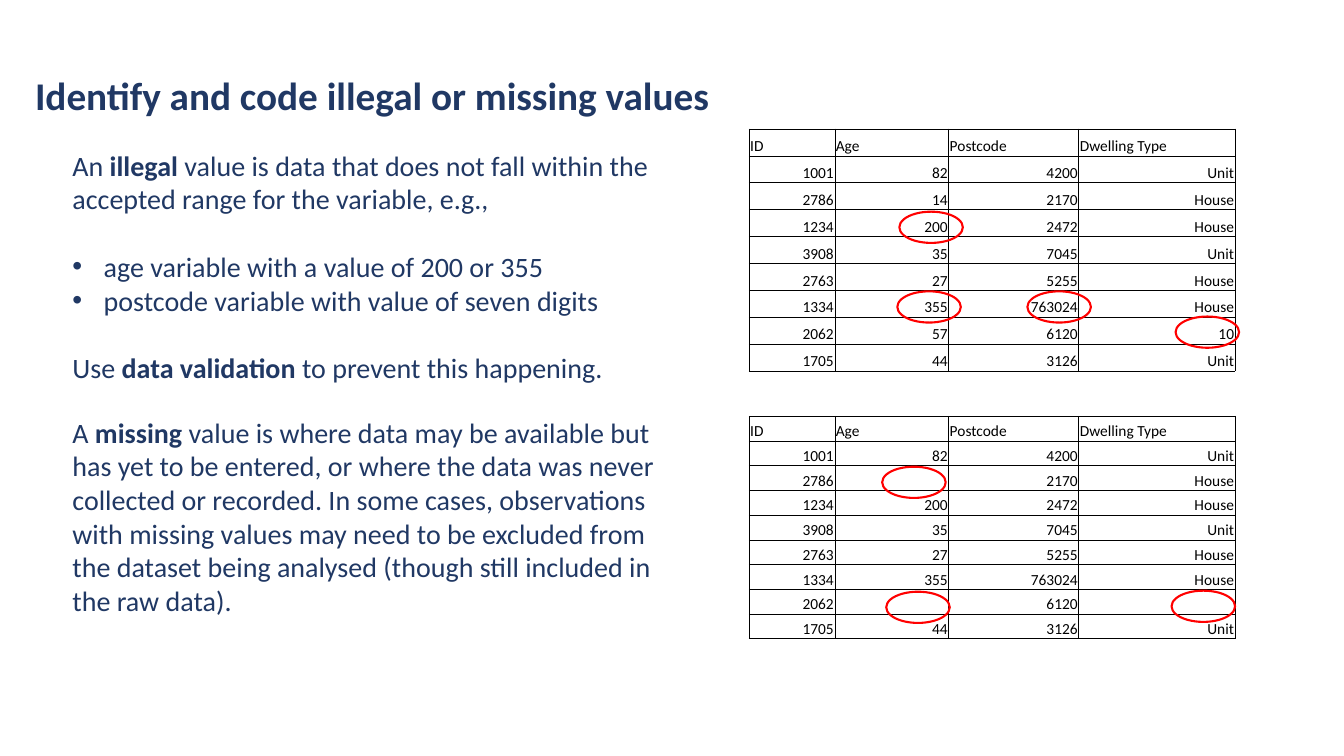
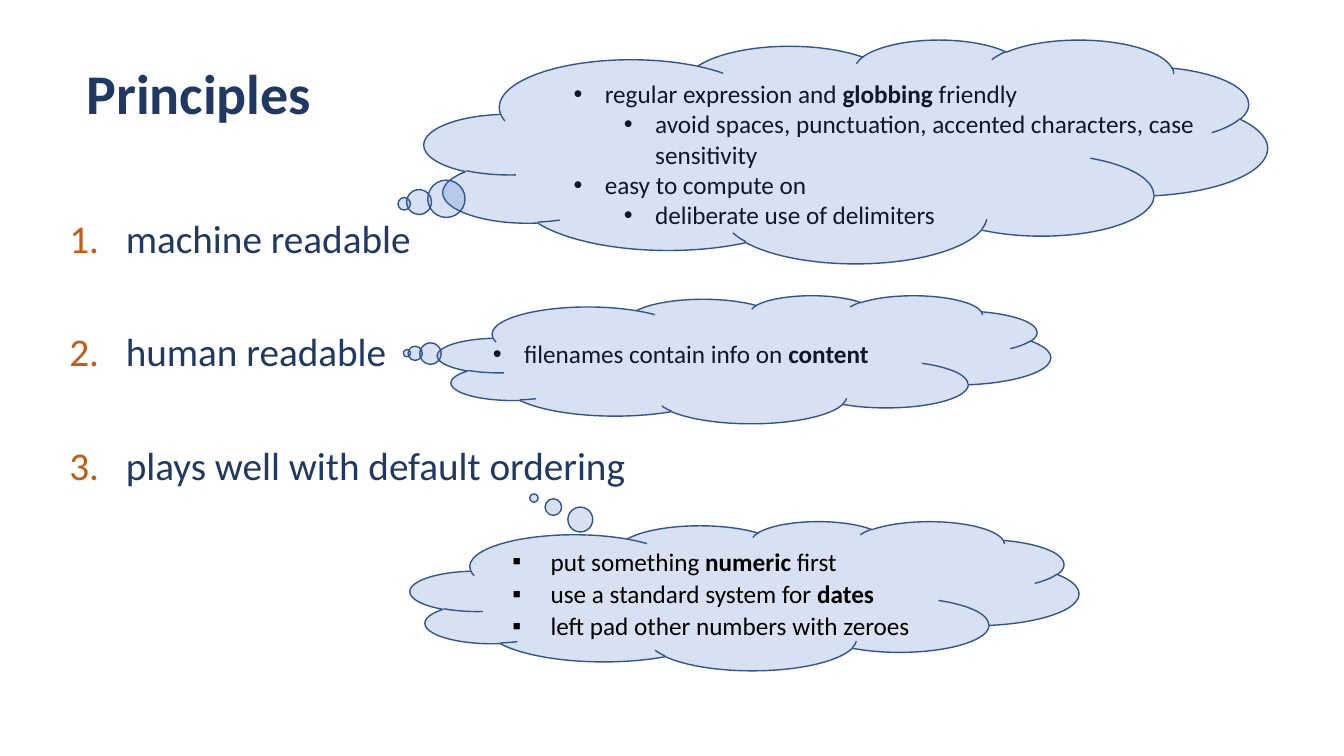
from dataclasses import dataclass

from lxml import etree
from pptx import Presentation
from pptx.dml.color import RGBColor
from pptx.enum.shapes import MSO_SHAPE
from pptx.enum.text import MSO_ANCHOR, PP_ALIGN
from pptx.oxml.ns import qn
from pptx.util import Inches, Pt

CLOUD = MSO_SHAPE.CLOUD_CALLOUT
ELLIPSE = MSO_SHAPE.OVAL
TOP, MIDDLE, BOTTOM = MSO_ANCHOR.TOP, MSO_ANCHOR.MIDDLE, MSO_ANCHOR.BOTTOM
LEFT, RIGHT = PP_ALIGN.LEFT, PP_ALIGN.RIGHT

FONT = "Calibri"
BLANK_LAYOUT = 6
COLORS = {
    "navy": "203864",
    "black": "000000",
    "orange": "C55A11",
    "red": "FF0000",
    "cloud": "4472C4",
    "outline": "325491",
}
CLOUD_OPACITY = 21
COLUMN_WIDTHS = [0.85, 1.13, 1.29, 1.55]
MARK_SIZE = (0.63, 0.31)

HEADER = ["ID", "Age", "Postcode", "Dwelling Type"]
RECORDS = [
    ["1001", "82", "4200", "Unit"],
    ["2786", "14", "2170", "House"],
    ["1234", "200", "2472", "House"],
    ["3908", "35", "7045", "Unit"],
    ["2763", "27", "5255", "House"],
    ["1334", "355", "763024", "House"],
    ["2062", "57", "6120", "10"],
    ["1705", "44", "3126", "Unit"],
]
MISSING = {(1, 1), (6, 1), (6, 3)}


@dataclass
class Line:
    runs: tuple
    bullet: str = ""
    indent: float = 0.31
    level: int = 0
    before: float = 0


def color(name):
    return RGBColor.from_string(COLORS[name])


class Deck:
    def __init__(self):
        self.deck = Presentation()
        self.deck.slide_width = Inches(13.33)
        self.deck.slide_height = Inches(7.5)
        self.page = None

    def add_page(self):
        self.page = self.deck.slides.add_slide(self.deck.slide_layouts[BLANK_LAYOUT])

    def add_run(self, para, text, size, tint, bold=False):
        span = para.add_run()
        span.text = text
        span.font.name = FONT
        span.font.size = Pt(size)
        span.font.bold = bold
        span.font.color.rgb = color(tint)

    def add_bullet(self, para, line):
        props = para._p.get_or_add_pPr()
        props.set("marL", str(Inches(line.indent + 0.5 * line.level)))
        props.set("indent", str(-Inches(line.indent)))
        if line.bullet == "1.":
            tint = etree.SubElement(props, qn("a:buClr"))
            etree.SubElement(tint, qn("a:srgbClr"), val=COLORS["orange"])
            etree.SubElement(props, qn("a:buFont"), typeface=FONT)
            etree.SubElement(props, qn("a:buAutoNum"), type="arabicPeriod")
        else:
            etree.SubElement(props, qn("a:buFont"), typeface="Arial")
            etree.SubElement(props, qn("a:buChar"), char=line.bullet)

    def fill_frame(self, frame, lines, size, tint, spacing=1.0, anchor=TOP):
        frame.word_wrap = True
        frame.vertical_anchor = anchor
        for index, line in enumerate(lines):
            para = frame.add_paragraph() if index else frame.paragraphs[0]
            para.level = line.level
            if line.bullet:
                self.add_bullet(para, line)
            para.alignment = LEFT
            para.line_spacing = spacing
            para.space_before = Pt(line.before)
            for position, text in enumerate(line.runs):
                self.add_run(para, text, size, tint, bold=position % 2 == 1)

    def add_text(self, place, lines, size, tint, spacing=1.0):
        box = self.page.shapes.add_textbox(*map(Inches, place))
        self.fill_frame(box.text_frame, lines, size, tint, spacing)

    def add_title(self, place, text, size, anchor=TOP):
        box = self.page.shapes.add_textbox(*map(Inches, place))
        frame = box.text_frame
        frame.word_wrap = True
        frame.vertical_anchor = anchor
        para = frame.paragraphs[0]
        para.line_spacing = 0.9
        self.add_run(para, text, size, "navy", bold=True)

    def add_outline(self, kind, place, tint, width):
        shape = self.page.shapes.add_shape(kind, *map(Inches, place))
        shape.shadow.inherit = False
        shape.fill.background()
        shape.line.color.rgb = color(tint)
        shape.line.width = Pt(width)
        return shape

    def add_marks(self, corners):
        for corner in corners:
            self.add_outline(ELLIPSE, (*corner, *MARK_SIZE), "red", 1.5)

    def add_cloud(self, place, tail, lines=()):
        cloud = self.add_outline(CLOUD, place, "outline", 1)
        cloud.adjustments[0], cloud.adjustments[1] = tail
        cloud.fill.solid()
        cloud.fill.fore_color.rgb = color("cloud")
        tint = cloud._element.spPr.find(qn("a:solidFill"))[0]
        etree.SubElement(tint, qn("a:alpha"), val=str(CLOUD_OPACITY * 1000))
        if lines:
            self.fill_frame(cloud.text_frame, lines, 18, "black", 1.07, MIDDLE)

    def style_cell(self, cell, text, align):
        cell.margin_left = cell.margin_right = cell.margin_top = Inches(0.01)
        cell.margin_bottom = 0
        cell.vertical_anchor = BOTTOM
        props = cell._tc.get_or_add_tcPr()
        for side in ("a:lnL", "a:lnR", "a:lnT", "a:lnB"):
            edge = etree.SubElement(props, qn(side), w=str(Pt(0.5)))
            paint = etree.SubElement(edge, qn("a:solidFill"))
            etree.SubElement(paint, qn("a:srgbClr"), val=COLORS["black"])
        cell.fill.background()
        para = cell.text_frame.paragraphs[0]
        para.alignment = align
        if text:
            self.add_run(para, text, 11, "black")
        else:
            etree.SubElement(para._p, qn("a:endParaRPr"), sz="1100")

    def add_table(self, left, top, height, rows):
        place = (left, top, sum(COLUMN_WIDTHS), height)
        frame = self.page.shapes.add_table(
            len(rows), len(COLUMN_WIDTHS), *map(Inches, place)
        )
        table = frame.table
        table.first_row = table.horz_banding = False
        for column, width in zip(table.columns, COLUMN_WIDTHS):
            column.width = Inches(width)
        for index, values in enumerate(rows):
            table.rows[index].height = Inches(height / len(rows))
            for column, text in enumerate(values):
                self.style_cell(table.cell(index, column), text, RIGHT if index else LEFT)


def add_values_page(deck):
    deck.add_page()
    deck.add_title(
        (0.25, 0.25, 11.5, 1.45), "Identify and code illegal or missing values", 28, MIDDLE
    )
    deck.add_text(
        (0.62, 1.42, 6.14, 4.78),
        [
            Line((
                "An ", "illegal",
                " value is data that does not fall within the accepted range"
                " for the variable, e.g.,",
            )),
            Line(("age variable with a value of 200 or 355",), "•", before=24.4),
            Line(("postcode variable with value of seven digits",), "•"),
            Line(("Use ", "data validation", " to prevent this happening."), before=24.4),
            Line((
                "A", " missing",
                " value is where data may be available but has yet to be entered,"
                " or where the data was never collected or recorded. In some cases,"
                " observations with missing values may need to be excluded from the"
                " dataset being analysed (though still included in the raw data).",
            ), before=22),
        ],
        20, "navy",
    )
    deck.add_table(7.43, 1.28, 2.4, [HEADER] + RECORDS)
    deck.add_marks([(8.92, 2.1), (8.9, 2.89), (11.66, 3.14), (10.19, 2.89)])
    incomplete = [
        ["" if (row, column) in MISSING else text for column, text in enumerate(record)]
        for row, record in enumerate(RECORDS)
    ]
    deck.add_table(7.43, 4.13, 2.21, [HEADER] + incomplete)
    deck.add_marks([(11.62, 5.86), (8.79, 5.87), (8.75, 4.63)])


def add_principles_page(deck):
    deck.add_page()
    principles = ["machine readable", "human readable", "plays well with default ordering"]
    deck.add_text(
        (0.59, 2.13, 11.5, 4.76),
        [
            Line((text,), "1.", 0.56, before=50.8 if index else 0)
            for index, text in enumerate(principles)
        ],
        28, "navy", 0.9,
    )
    deck.add_text(
        (5.59, 0.73, 6.67, 1.62),
        [
            Line(("regular expression and ", "globbing", " friendly"), "•"),
            Line(
                ("avoid spaces, punctuation, accented characters, case sensitivity",),
                "•", level=1,
            ),
            Line(("easy to compute on",), "•"),
            Line(("deliberate use of delimiters",), "•", level=1),
        ],
        18, "black",
    )
    deck.add_cloud((4.21, 0.39, 8.36, 2.22), (-0.524, 0.235))
    deck.add_title((0.76, 0.61, 11.5, 0.84), "Principles", 40)
    deck.add_text(
        (4.79, 3.31, 6.67, 0.4),
        [Line(("filenames contain info on ", "content"), "•")],
        18, "black",
    )
    deck.add_cloud((4.34, 2.93, 6.08, 1.27), (-0.55, -0.048))
    deck.add_cloud(
        (4.07, 5.17, 6.63, 1.48), (-0.315, -0.655),
        [
            Line(("put something", " numeric ", "first"), "▪", 0.38),
            Line(("use a standard system for ", "dates"), "▪", 0.38),
            Line(("left pad other numbers with zeroes",), "▪", 0.38),
        ],
    )


def main():
    deck = Deck()
    add_values_page(deck)
    add_principles_page(deck)
    deck.deck.save("out.pptx")


if __name__ == "__main__":
    main()
